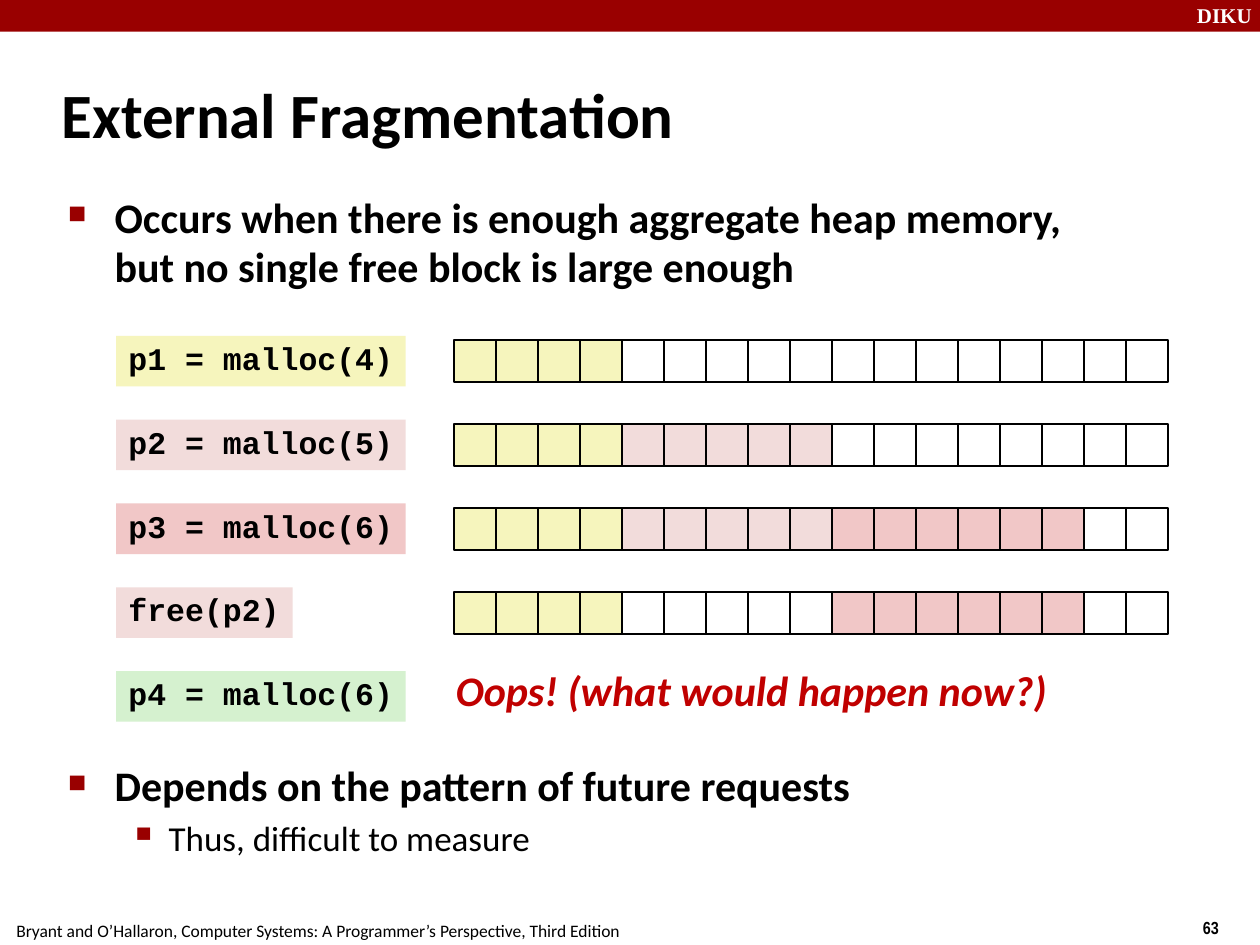
import lxml.etree
import pptx
import pptx.dml.color
import pptx.enum.shapes
import pptx.enum.text
import pptx.oxml.ns
import pptx.util
from pptx.dml.color import RGBColor
from pptx.util import Cm, Pt

BLACK = RGBColor(0x00, 0x00, 0x00)
WHITE = RGBColor(0xFF, 0xFF, 0xFF)
DARK_RED = RGBColor(0x99, 0x00, 0x00)
RED = RGBColor(0xC0, 0x00, 0x00)
YELLOW = RGBColor(0xF6, 0xF5, 0xBD)
PALE_PINK = RGBColor(0xF2, 0xDC, 0xDB)
PINK = RGBColor(0xF1, 0xC7, 0xC7)
GREEN = RGBColor(0xD5, 0xF1, 0xCF)

CELL_COUNT = 17
CELL_SIZE = Cm(14.39) / CELL_COUNT
CELLS_LEFT = Cm(9.16)
CELLS_OFFSET = Cm(0.09)
ROWS_TOP = Cm(6.77)
ROW_PITCH = Cm(1.69)

P1 = [YELLOW] * 4
P2 = [PALE_PINK] * 5
P3 = [PINK] * 6
ROWS = [
    ("p1 = malloc(4)", Cm(5.84), YELLOW, P1),
    ("p2 = malloc(5)", Cm(5.84), PALE_PINK, P1 + P2),
    ("p3 = malloc(6)", Cm(5.84), PINK, P1 + P2 + P3),
    ("free(p2)", Cm(3.56), PALE_PINK, P1 + [WHITE] * 5 + P3),
    ("p4 = malloc(6)", Cm(5.84), GREEN, None),
]

BULLET_LEVELS = [
    dict(size=24, bold=True, margin=Cm(0.97), hanging=Cm(0.94), bullet="■", percent=60, before=4.8),
    dict(size=20, bold=False, margin=Cm(2.06), hanging=Cm(0.79), bullet="▪", percent=110, before=4),
]


def style_font(paragraph, size, name="Calibri", color=BLACK, bold=False, italic=False):
    """Set the font of a whole paragraph."""
    font = paragraph.font
    font.size = Pt(size)
    font.name = name
    font.bold = bold
    font.italic = italic
    font.color.rgb = color


def add_rectangle(slide, left, top, width, height, fill, outlined=False):
    """Add a filled rectangle, with a thin black outline if wanted."""
    shape = slide.shapes.add_shape(
        pptx.enum.shapes.MSO_SHAPE.RECTANGLE, left, top, width, height)
    shape.shadow.inherit = False
    shape.fill.solid()
    shape.fill.fore_color.rgb = fill
    if outlined:
        shape.line.color.rgb = BLACK
        shape.line.width = Pt(1)
    else:
        shape.line.fill.background()
    return shape


def add_text(slide, text, left, top, width, height, size, wrap=False, middle=False, **font):
    """Add a text box with a single paragraph."""
    frame = slide.shapes.add_textbox(left, top, width, height).text_frame
    frame.word_wrap = wrap
    if middle:
        frame.vertical_anchor = pptx.enum.text.MSO_ANCHOR.MIDDLE
    paragraph = frame.paragraphs[0]
    paragraph.text = text
    style_font(paragraph, size, **font)


def add_bullets(slide, top, height, items):
    """Add a text box of bulleted paragraphs given as (level, text)."""
    frame = slide.shapes.add_textbox(Cm(1.09), top, Cm(21.6), height).text_frame
    frame.word_wrap = True
    for index, (level, text) in enumerate(items):
        style = BULLET_LEVELS[level]
        paragraph = frame.add_paragraph() if index else frame.paragraphs[0]
        paragraph.text = text
        paragraph.level = level
        paragraph.line_spacing = 0.98
        if index:
            paragraph.space_before = Pt(style["before"])
        set_bullet(paragraph, style)
        style_font(paragraph, style["size"], bold=style["bold"])


def set_bullet(paragraph, style):
    """Give a paragraph a hanging indent and a dark red bullet."""
    qualified = pptx.oxml.ns.qn
    properties = paragraph._p.get_or_add_pPr()
    properties.set("marL", str(style["margin"]))
    properties.set("indent", str(-style["hanging"]))
    color = lxml.etree.SubElement(properties, qualified("a:buClr"))
    lxml.etree.SubElement(color, qualified("a:srgbClr"), val=str(DARK_RED))
    lxml.etree.SubElement(properties, qualified("a:buSzPct"), val=str(style["percent"] * 1000))
    lxml.etree.SubElement(properties, qualified("a:buChar"), char=style["bullet"])


def add_code_label(slide, text, top, width, fill):
    """Add a coloured label that holds one line of code."""
    shape = add_rectangle(slide, Cm(2.34), top, width, Cm(1.02), fill)
    frame = shape.text_frame
    frame.word_wrap = False
    frame.vertical_anchor = pptx.enum.text.MSO_ANCHOR.TOP
    paragraph = frame.paragraphs[0]
    paragraph.text = text
    paragraph.alignment = pptx.enum.text.PP_ALIGN.LEFT
    paragraph.line_spacing = 0.94
    style_font(paragraph, 18, name="Courier New", bold=True)


def add_heap(slide, top, blocks):
    """Add a row of heap cells, white after the given block colours."""
    fills = blocks + [WHITE] * (CELL_COUNT - len(blocks))
    for index, fill in enumerate(fills):
        left = round(CELLS_LEFT + index * CELL_SIZE)
        add_rectangle(slide, left, top, round(CELL_SIZE), round(CELL_SIZE), fill, outlined=True)


def main():
    """Build the slide and save it."""
    presentation = pptx.Presentation()
    presentation.slide_width = Cm(25.4)
    presentation.slide_height = Cm(19.05)
    slide = presentation.slides.add_slide(presentation.slide_layouts[6])

    add_rectangle(slide, 0, 0, presentation.slide_width, Cm(0.64), DARK_RED)
    add_text(slide, "DIKU", Cm(23.88), Cm(-0.08), Cm(1.7), Cm(0.76), 12,
             wrap=True, name="Times New Roman", color=WHITE, bold=True)
    add_text(slide, "63", Cm(24), Cm(18.36), Cm(1.9), Cm(0.74), 10,
             wrap=True, name="Arial Narrow", bold=True)
    add_text(slide, "Bryant and O’Hallaron, Computer Systems: A Programmer’s Perspective, Third Edition",
             Cm(0.08), Cm(18.42), Cm(12.67), Cm(0.66), 10)
    add_text(slide, "External Fragmentation", Cm(0.99), Cm(1.22), Cm(21.08), Cm(2.11), 36,
             wrap=True, middle=True, bold=True)

    add_bullets(slide, Cm(3.78), Cm(2.3), [
        (0, "Occurs when there is enough aggregate heap memory, but no single free block is large enough"),
    ])
    for index, (code, width, fill, blocks) in enumerate(ROWS):
        top = ROWS_TOP + index * ROW_PITCH
        add_code_label(slide, code, top, width, fill)
        if blocks:
            add_heap(slide, top + CELLS_OFFSET, blocks)
    add_text(slide, "Oops! (what would happen now?)", Cm(8.94), Cm(13.28), Cm(12.42), Cm(1.27), 24,
             color=RED, bold=True, italic=True)
    add_bullets(slide, Cm(15.24), Cm(2.36), [
        (0, "Depends on the pattern of future requests"),
        (1, "Thus, difficult to measure"),
    ])
    presentation.save("out.pptx")


if __name__ == "__main__":
    main()
